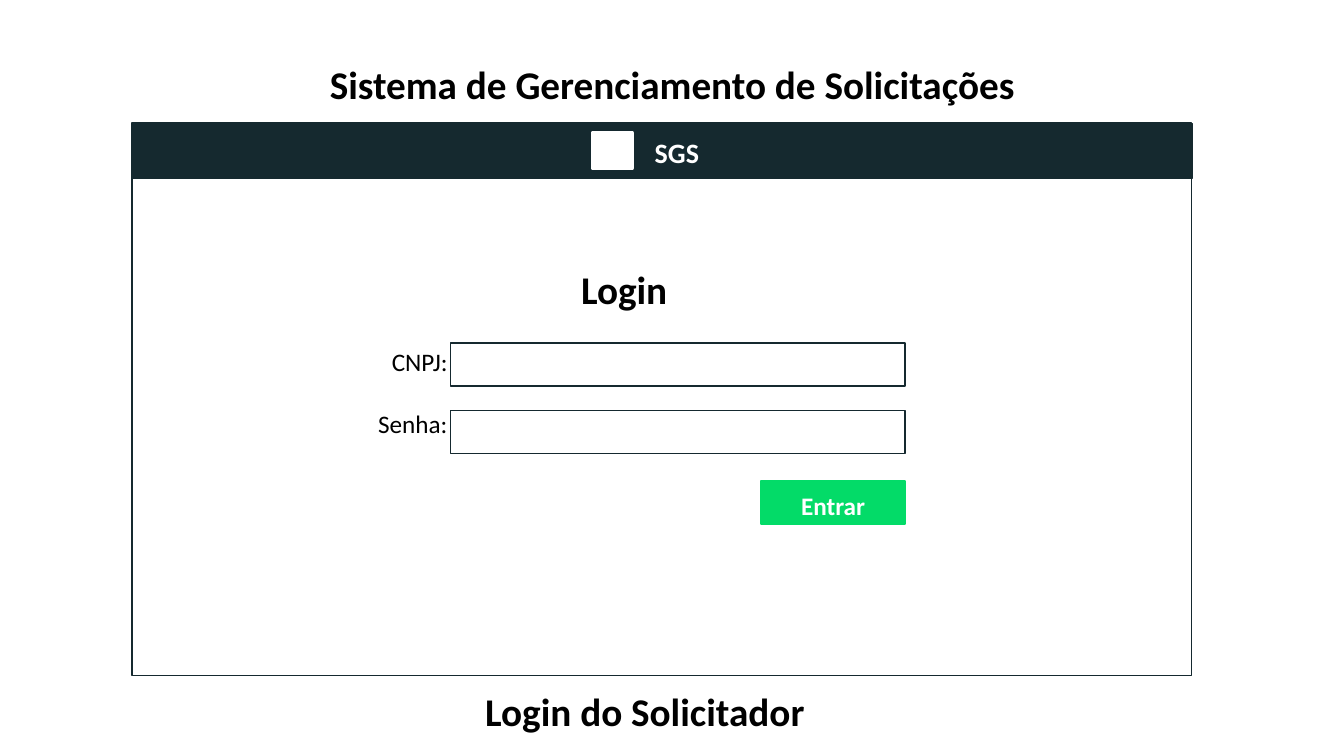
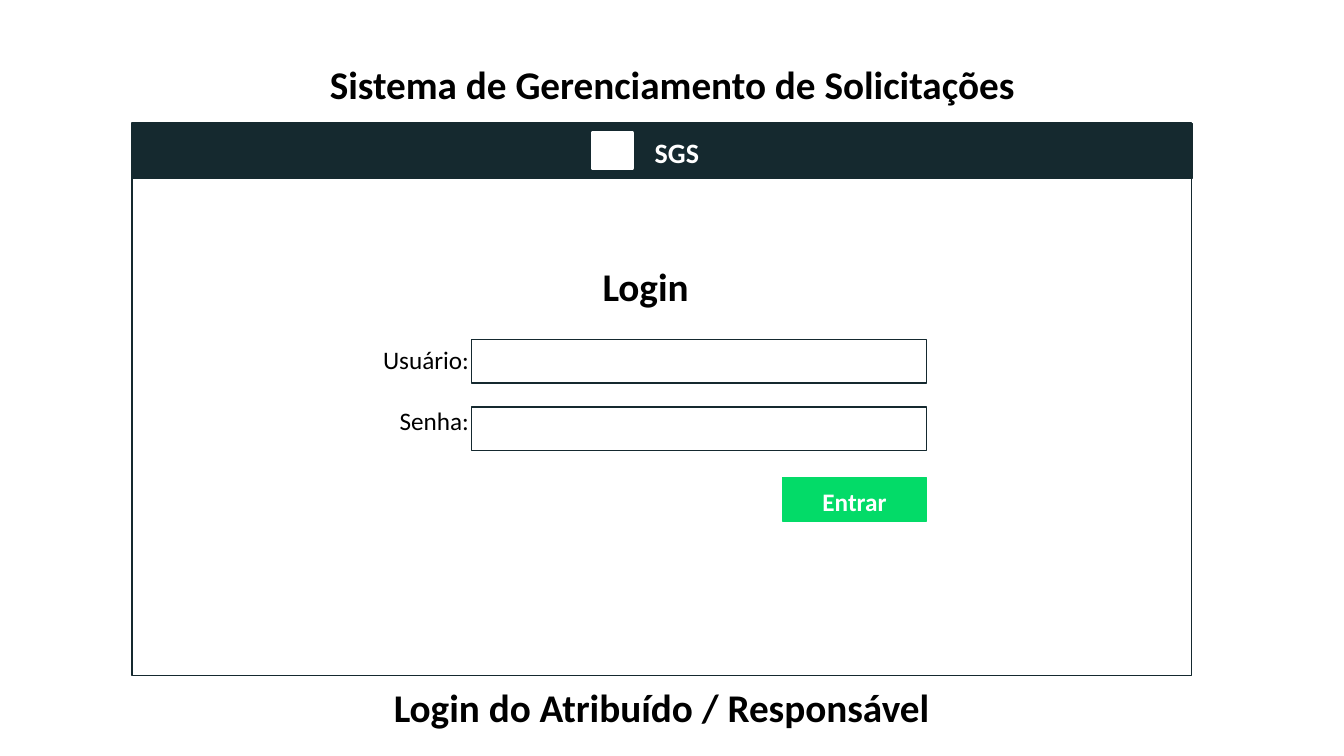
from dataclasses import dataclass

import pptx
import pptx.dml.color
import pptx.enum.shapes
import pptx.enum.text
import pptx.presentation
import pptx.shapes.autoshape
import pptx.slide
import pptx.text.text
import pptx.util

Cm = pptx.util.Cm
Align = pptx.enum.text.PP_ALIGN
Anchor = pptx.enum.text.MSO_ANCHOR


@dataclass(frozen=True)
class Theme:
    font: str = "Calibri"
    dark: str = "15292F"
    green: str = "03DB68"
    white: str = "FFFFFF"
    black: str = "000000"
    heading: float = 28
    brand: float = 20
    body: float = 18


@dataclass(frozen=True)
class Box:
    """A rectangle in centimetres."""
    left: float
    top: float
    width: float
    height: float

    def lengths(self) -> tuple[int, int, int, int]:
        return Cm(self.left), Cm(self.top), Cm(self.width), Cm(self.height)


@dataclass(frozen=True)
class Label:
    text: str
    shift: float  # vertical offset from the top of its field


@dataclass(frozen=True)
class LoginScreen:
    caption: str
    caption_center: float
    caption_top: float
    form_left: float
    form_top: float
    labels: tuple[Label, ...]


THEME = Theme()
SLIDE_WIDTH, SLIDE_HEIGHT = 33.87, 19.05
TITLE = "Sistema de Gerenciamento de Solicitações"

# Parts of the mock window
HEADER = Box(3.35, 3.12, 26.7, 1.37)
WINDOW = Box(3.33, 3.1, 26.7, 13.92)
ICON = Box(14.94, 3.35, 0.99, 0.89)
BRAND = Box(16.06, 3.28, 2, 1.12)

# Measures of the form
FIELD_WIDTH, FIELD_HEIGHT, FIELD_PITCH = 11.46, 1.09, 1.7
BUTTON_WIDTH = 3.63
LABEL_WIDTH, LABEL_OVERLAP = 4, 0.18
HEADING_HEIGHT = 1.45

SCREENS = (
    LoginScreen("Login do Solicitador", 16.25, 17.2, 11.35, 8.64,
                (Label("CNPJ:", -0.05), Label("Senha:", -0.18))),
    LoginScreen("Login do Atribuído / Responsável", 16.67, 17.09, 11.89, 8.56,
                (Label("Usuário:", 0), Label("Senha:", -0.18))),
)


def color(value: str) -> pptx.dml.color.RGBColor:
    return pptx.dml.color.RGBColor.from_string(value)


def write(frame: pptx.text.text.TextFrame, text: str, *, size: float = THEME.body,
          ink: str = THEME.black, bold: bool = False, align: Align = Align.CENTER,
          anchor: Anchor = Anchor.TOP) -> None:
    """Put one formatted line of text in a text frame."""
    frame.word_wrap = True
    frame.auto_size = pptx.enum.text.MSO_AUTO_SIZE.NONE
    frame.vertical_anchor = anchor
    para = frame.paragraphs[0]
    para.alignment = align
    span = para.add_run()
    span.text = text
    span.font.name = THEME.font
    span.font.size = pptx.util.Pt(size)
    span.font.bold = bold
    span.font.color.rgb = color(ink)


def add_text(page: pptx.slide.Slide, box: Box, text: str, **style) -> None:
    write(page.shapes.add_textbox(*box.lengths()).text_frame, text, **style)


def add_rectangle(page: pptx.slide.Slide, box: Box, *, line: str = THEME.dark,
                  fill: str | None = None,
                  weight: float = 1) -> pptx.shapes.autoshape.Shape:
    shape = page.shapes.add_shape(
        pptx.enum.shapes.MSO_SHAPE.RECTANGLE, *box.lengths())
    shape.shadow.inherit = False
    if fill is None:
        shape.fill.background()
    else:
        shape.fill.solid()
        shape.fill.fore_color.rgb = color(fill)
    shape.line.color.rgb = color(line)
    shape.line.width = pptx.util.Pt(weight)
    return shape


def add_title(page: pptx.slide.Slide) -> None:
    title = page.shapes.title
    width = 20
    box = Box((SLIDE_WIDTH - width) / 2, 1.4, width, HEADING_HEIGHT)
    title.left, title.top, title.width, title.height = box.lengths()
    write(title.text_frame, TITLE, size=THEME.heading, bold=True)


def add_window(page: pptx.slide.Slide) -> None:
    add_rectangle(page, HEADER, fill=THEME.dark)
    add_rectangle(page, WINDOW)
    add_rectangle(page, ICON, fill=THEME.white, line=THEME.white, weight=3.25)
    add_text(page, BRAND, "SGS", size=THEME.brand, ink=THEME.white, bold=True)


def add_form(page: pptx.slide.Slide, screen: LoginScreen) -> None:
    left, top = screen.form_left, screen.form_top
    add_text(page, Box(left + 3.02, top - 2.08, 2.72, HEADING_HEIGHT), "Login",
             size=THEME.heading, bold=True)

    # Labelled fields
    for label in screen.labels:
        add_rectangle(page, Box(left, top, FIELD_WIDTH, FIELD_HEIGHT))
        add_text(page, Box(left + LABEL_OVERLAP - LABEL_WIDTH, top + label.shift,
                           LABEL_WIDTH, 1.02), label.text, align=Align.RIGHT)
        top += FIELD_PITCH

    # Button, flush with the right edge of the fields
    button = add_rectangle(
        page, Box(left + FIELD_WIDTH - BUTTON_WIDTH, top + 0.08,
                  BUTTON_WIDTH, FIELD_HEIGHT),
        fill=THEME.green, line=THEME.green)
    button.text_frame.margin_top = Cm(0.2)
    button.text_frame.margin_bottom = Cm(0.08)
    write(button.text_frame, "Entrar", ink=THEME.white, bold=True,
          anchor=Anchor.MIDDLE)


def add_screen(deck: pptx.presentation.Presentation, screen: LoginScreen) -> None:
    page = deck.slides.add_slide(deck.slide_layouts.get_by_name("Title Only"))
    add_title(page)
    add_window(page)
    add_form(page, screen)
    width = 18
    add_text(page, Box(screen.caption_center - width / 2, screen.caption_top,
                       width, HEADING_HEIGHT),
             screen.caption, size=THEME.heading, bold=True)


def main() -> None:
    deck = pptx.Presentation()
    deck.slide_width, deck.slide_height = Cm(SLIDE_WIDTH), Cm(SLIDE_HEIGHT)
    for screen in SCREENS:
        add_screen(deck, screen)
    deck.save("out.pptx")


if __name__ == "__main__":
    main()
